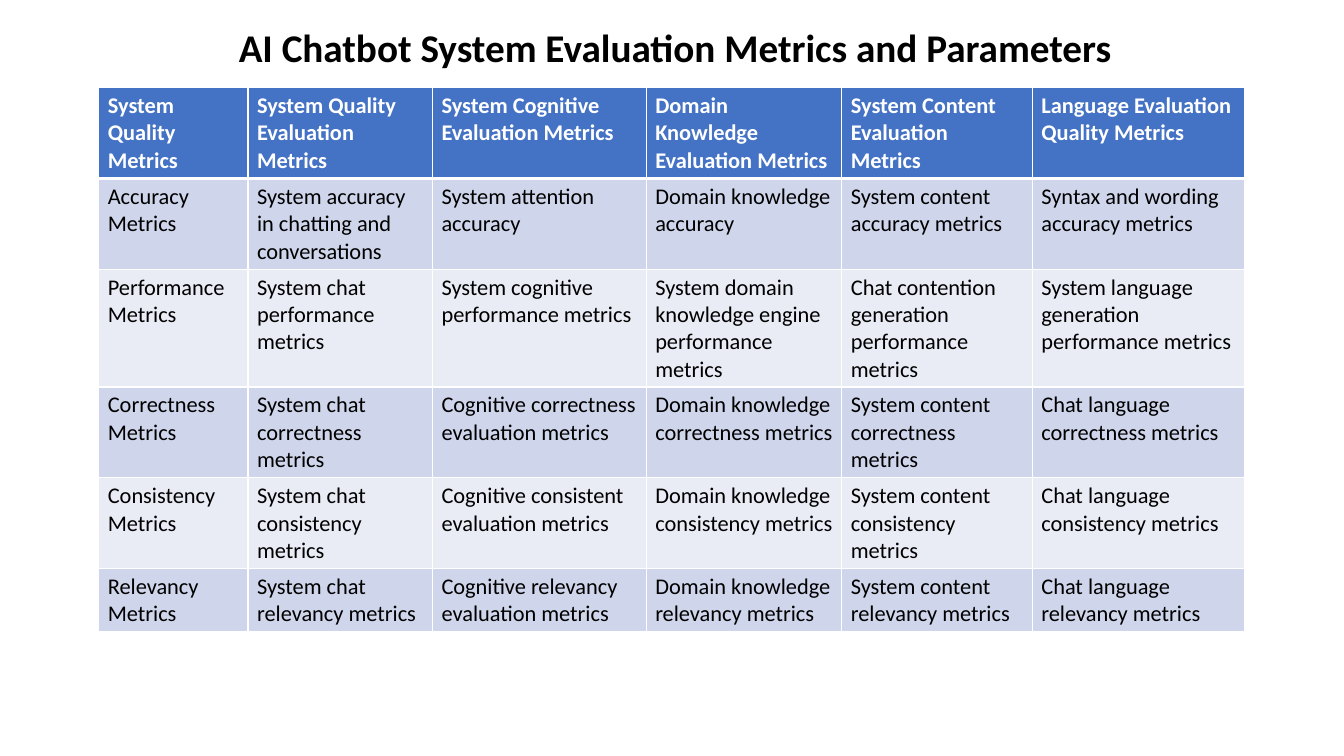
import pptx
import pptx.util
import pptx.dml.color
import pptx.enum.text
import pptx.oxml
import pptx.oxml.ns

Inches = pptx.util.Inches
Pt = pptx.util.Pt

FONT = "Calibri"
BLACK, WHITE, BLUE = "000000", "FFFFFF", "4472C4"
BANDS = ["CFD5EA", "E9EBF5"]
WIDTHS = [1.48, 1.83, 2.12, 1.94, 1.89, 2.11]
HEIGHTS = [0.9, 0.9, 1.17, 0.9, 0.9, 0.63]
ROWS = [
    ["System Quality Metrics", "System Quality Evaluation Metrics",
     "System Cognitive Evaluation Metrics", "Domain Knowledge Evaluation Metrics",
     "System Content Evaluation\nMetrics", "Language Evaluation Quality Metrics"],
    ["Accuracy Metrics", "System accuracy in chatting and conversations",
     "System attention accuracy", "Domain knowledge accuracy",
     "System content accuracy metrics", "Syntax and wording accuracy metrics"],
    ["Performance Metrics", "System chat performance metrics",
     "System cognitive performance metrics",
     "System domain knowledge engine performance metrics",
     "Chat contention generation performance metrics",
     "System language generation performance metrics"],
    ["Correctness Metrics", "System chat correctness metrics",
     "Cognitive correctness evaluation metrics", "Domain knowledge correctness metrics",
     "System content correctness metrics", "Chat language correctness metrics"],
    ["Consistency Metrics", "System chat consistency metrics",
     "Cognitive consistent evaluation metrics", "Domain knowledge consistency metrics",
     "System content consistency metrics", "Chat language consistency metrics"],
    ["Relevancy Metrics", "System chat relevancy metrics",
     "Cognitive relevancy evaluation metrics", "Domain knowledge relevancy metrics",
     "System content relevancy metrics", "Chat language relevancy metrics"],
]


def color(code):
    return pptx.dml.color.RGBColor.from_string(code)


def style(para, size, code, bold):
    font = para.font
    font.name, font.size, font.bold = FONT, Pt(size), bold
    font.color.rgb = color(code)


def border(cell, side, width):
    space = pptx.oxml.ns.nsdecls("a")
    line = pptx.oxml.parse_xml(
        f'<a:{side} {space} w="{Pt(width)}"><a:solidFill>'
        f'<a:srgbClr val="{WHITE}"/></a:solidFill></a:{side}>')
    cell._tc.get_or_add_tcPr().append(line)


def add_title(slide, text):
    box = slide.shapes.add_textbox(Inches(2.27), 0, Inches(9.86), Inches(0.7))
    frame = box.text_frame
    frame.word_wrap = True
    frame.auto_size = pptx.enum.text.MSO_AUTO_SIZE.SHAPE_TO_FIT_TEXT
    frame.text = text
    para = frame.paragraphs[0]
    para.line_spacing = 1.39
    para.space_before = Pt(15)
    style(para, 28, BLACK, True)


def fill_cell(cell, text, row):
    head = row == 0
    cell.text = text
    cell.margin_left = cell.margin_right = Inches(0.09)
    cell.margin_top = cell.margin_bottom = Inches(0.045)
    for para in cell.text_frame.paragraphs:
        style(para, 16, WHITE if head else BLACK, head)
    # Borders go before the fill, with a thick rule under the header
    border(cell, "lnL", 1)
    border(cell, "lnR", 1)
    border(cell, "lnT", 3 if row == 1 else 1)
    border(cell, "lnB", 3 if head else 1)
    cell.fill.solid()
    cell.fill.fore_color.rgb = color(BLUE if head else BANDS[(row - 1) % 2])


def add_grid(slide):
    frame = slide.shapes.add_table(
        len(ROWS), len(WIDTHS), Inches(0.98), Inches(0.87),
        Inches(sum(WIDTHS)), Inches(sum(HEIGHTS)))
    table = frame.table
    for col, width in zip(table.columns, WIDTHS):
        col.width = Inches(width)
    for row, height in enumerate(HEIGHTS):
        table.rows[row].height = Inches(height)
        for col, text in enumerate(ROWS[row]):
            fill_cell(table.cell(row, col), text, row)


def main():
    deck = pptx.Presentation()
    deck.slide_width, deck.slide_height = Inches(13.33), Inches(7.5)
    slide = deck.slides.add_slide(deck.slide_layouts[6])
    # Heading
    add_title(slide, "AI Chatbot System Evaluation Metrics and Parameters")
    # Metrics table
    add_grid(slide)
    deck.save("out.pptx")


if __name__ == "__main__":
    main()
